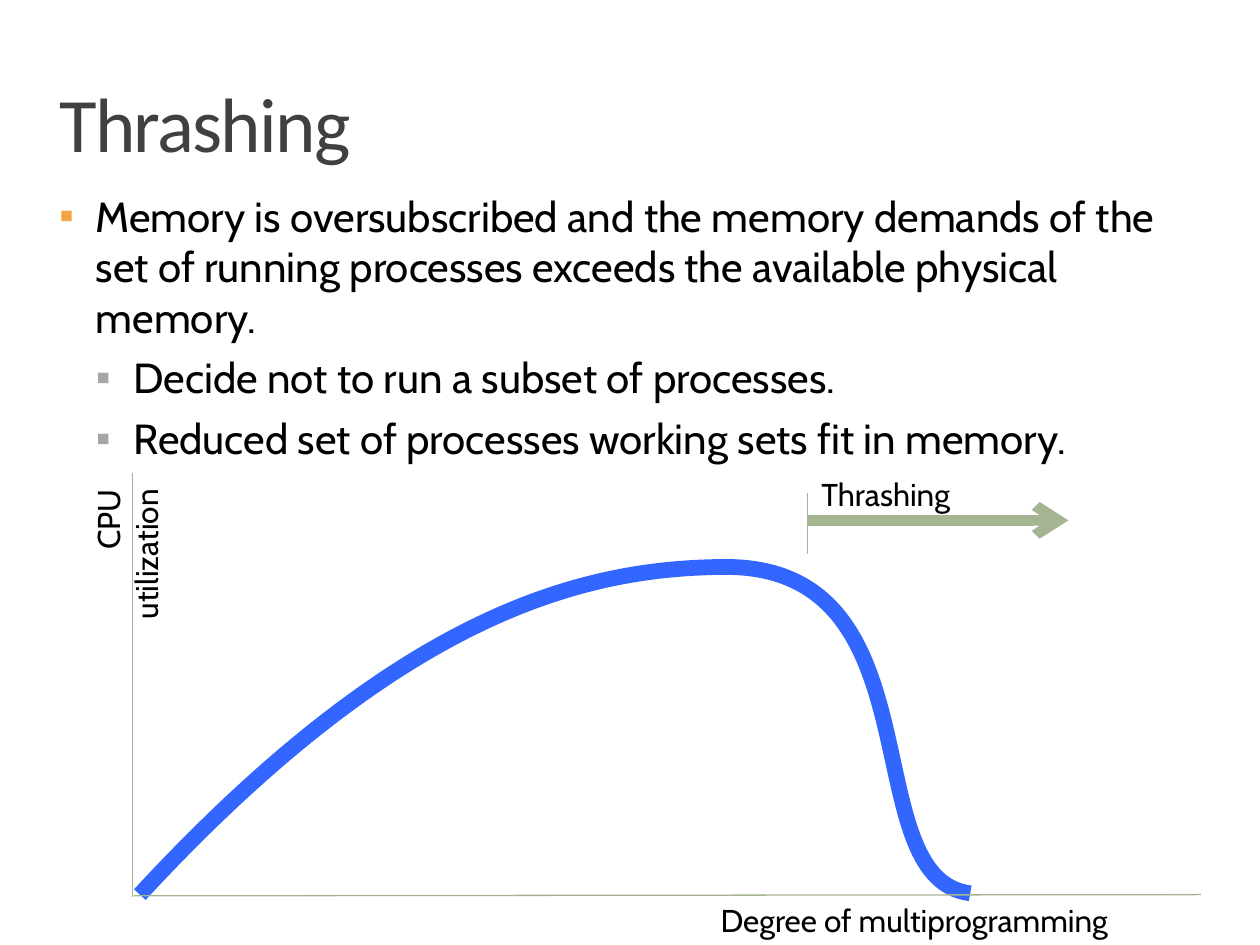
from dataclasses import dataclass

from lxml import etree
from pptx import Presentation
from pptx.dml.color import RGBColor
from pptx.enum.text import MSO_ANCHOR, MSO_AUTO_SIZE, PP_ALIGN
from pptx.oxml.ns import qn
from pptx.util import Inches, Pt

TOP = MSO_ANCHOR.TOP
NO_FIT = MSO_AUTO_SIZE.NONE
LEFT, RIGHT = PP_ALIGN.LEFT, PP_ALIGN.RIGHT

COLORS = {
    "title": "404040",
    "text": "000000",
    "bullet": "F3A447",
    "sub_bullet": "A6A6A6",
    "axis": "A5B592",
    "curve": "3366FF",
}


@dataclass
class Bullet:
    text: str
    level: int
    indent: float
    hanging: float
    before: int
    color: str


@dataclass
class Line:
    start: tuple[float, float]
    end: tuple[float, float]
    width: float = 0.75
    arrow: bool = False


@dataclass
class Label:
    text: str
    box: tuple[float, float, float, float]
    rotation: float = 0
    align: PP_ALIGN = LEFT


BULLETS = [
    Bullet("Memory is oversubscribed and the memory demands of the set of running "
           "processes exceeds the available physical memory.", 0, 0.29, 0.29, 18, "bullet"),
    Bullet("Decide not to run a subset of processes.", 1, 0.59, 0.3, 6, "sub_bullet"),
    Bullet("Reduced set of processes working sets fit in memory.", 1, 0.59, 0.3, 6,
           "sub_bullet"),
]
AXES = [Line((1.05, 3.75), (1.05, 7.12)), Line((1.06, 7.11), (9.53, 7.1))]
THRASHING_MARKS = [
    Line((6.41, 3.91), (6.41, 4.4)),
    Line((6.41, 4.13), (8.48, 4.13), 6, True),
]
THRASHING_LABEL = Label("Thrashing", (6.42, 3.72, 1.45, 0.4))
AXIS_LABELS = [
    Label("CPU utilization", (0.05, 4.39, 1.61, 0.4), 270, RIGHT),
    Label("Degree of multiprogramming", (5.62, 7.1, 3.89, 0.4)),
]
# Start point, then two control points and an end point for each Bézier segment
CURVE = [(1.11, 7.1), (3.19, 4.85), (4.64, 4.51), (5.74, 4.5),
         (7.48, 4.48), (6.76, 6.97), (7.7, 7.09)]


def rgb(name: str) -> RGBColor:
    return RGBColor.from_string(COLORS[name])


def set_attrs(obj, values: dict) -> None:
    for name, value in values.items():
        setattr(obj, name, value)


def place(sp, box: tuple[float, float, float, float]) -> None:
    set_attrs(sp, dict(zip(("left", "top", "width", "height"), map(Inches, box))))


def format_frame(tf, top_inset: float = 0) -> None:
    set_attrs(tf, {
        "word_wrap": True, "auto_size": NO_FIT, "vertical_anchor": TOP,
        "margin_left": 0, "margin_right": 0, "margin_bottom": 0,
        "margin_top": Inches(top_inset),
    })


def add_text(p, text: str, size: int, font: str = "Cabin", color: str = "text"):
    r = p.add_run()
    r.text = text
    set_attrs(r.font, {"size": Pt(size), "name": font})
    r.font.color.rgb = rgb(color)
    return r


def add_bullet(p, bullet: Bullet) -> None:
    set_attrs(p, {"level": bullet.level, "alignment": LEFT, "line_spacing": 1.0,
                  "space_before": Pt(bullet.before), "space_after": Pt(0)})
    pPr = p._p.get_or_add_pPr()
    pPr.set("marL", str(Inches(bullet.indent)))
    pPr.set("indent", str(-Inches(bullet.hanging)))
    clr = etree.SubElement(pPr, qn("a:buClr"))
    etree.SubElement(clr, qn("a:srgbClr"), val=COLORS[bullet.color])
    etree.SubElement(pPr, qn("a:buChar"), char="▪")
    add_text(p, bullet.text, 24)


def add_line(shapes, line: Line) -> None:
    cxn = shapes.add_connector(1, *map(Inches, line.start + line.end))
    cxn.line.width = Pt(line.width)
    cxn.line.color.rgb = rgb("axis")
    if line.arrow:
        etree.SubElement(cxn.line._get_or_add_ln(), qn("a:tailEnd"), type="arrow")
    etree.SubElement(cxn._element.spPr, qn("a:effectLst"))


def add_label(shapes, label: Label) -> None:
    sp = shapes.add_textbox(*map(Inches, label.box))
    sp.rotation = label.rotation
    sp.text_frame.word_wrap = True
    p = sp.text_frame.paragraphs[0]
    p.alignment = label.align
    add_text(p, label.text, 18)


def add_curve(shapes, points: list[tuple[float, float]]) -> None:
    """Draw an open path and turn each three segments into one Bézier curve."""
    start, *rest = [(Inches(x), Inches(y)) for x, y in points]
    builder = shapes.build_freeform(*start)
    builder.add_line_segments(rest, close=False)
    sp = builder.convert_to_shape()
    segments = list(sp._element.iter(qn("a:lnTo")))
    for i in range(0, len(segments), 3):
        curve = etree.Element(qn("a:cubicBezTo"))
        segments[i].addprevious(curve)
        for segment in segments[i:i + 3]:
            curve.append(segment[0])
            segment.getparent().remove(segment)
    sp.shadow.inherit = False
    sp.fill.background()
    sp.line.width = Pt(9)
    sp.line.color.rgb = rgb("curve")


def main() -> None:
    prs = Presentation()
    prs.slide_width, prs.slide_height = Inches(10), Inches(7.5)
    s = prs.slides.add_slide(prs.slide_layouts[1])

    title, body = s.placeholders
    place(title, (0.47, 0.7, 9.06, 0.79))
    format_frame(title.text_frame, 0.04)
    p = title.text_frame.paragraphs[0]
    set_attrs(p, {"alignment": LEFT, "line_spacing": 0.8})
    r = add_text(p, "Thrashing", 44, "Calibri", "title")
    r.font._element.set("spc", "-100")

    place(body, (0.47, 1.51, 9.06, 2.24))
    tf = body.text_frame
    format_frame(tf)
    for i, bullet in enumerate(BULLETS):
        add_bullet(tf.add_paragraph() if i else tf.paragraphs[0], bullet)

    add_curve(s.shapes, CURVE)
    for line in AXES:
        add_line(s.shapes, line)
    group = s.shapes.add_group_shape()
    for line in THRASHING_MARKS:
        add_line(group.shapes, line)
    add_label(group.shapes, THRASHING_LABEL)
    for label in AXIS_LABELS:
        add_label(s.shapes, label)

    prs.save("out.pptx")


if __name__ == "__main__":
    main()
